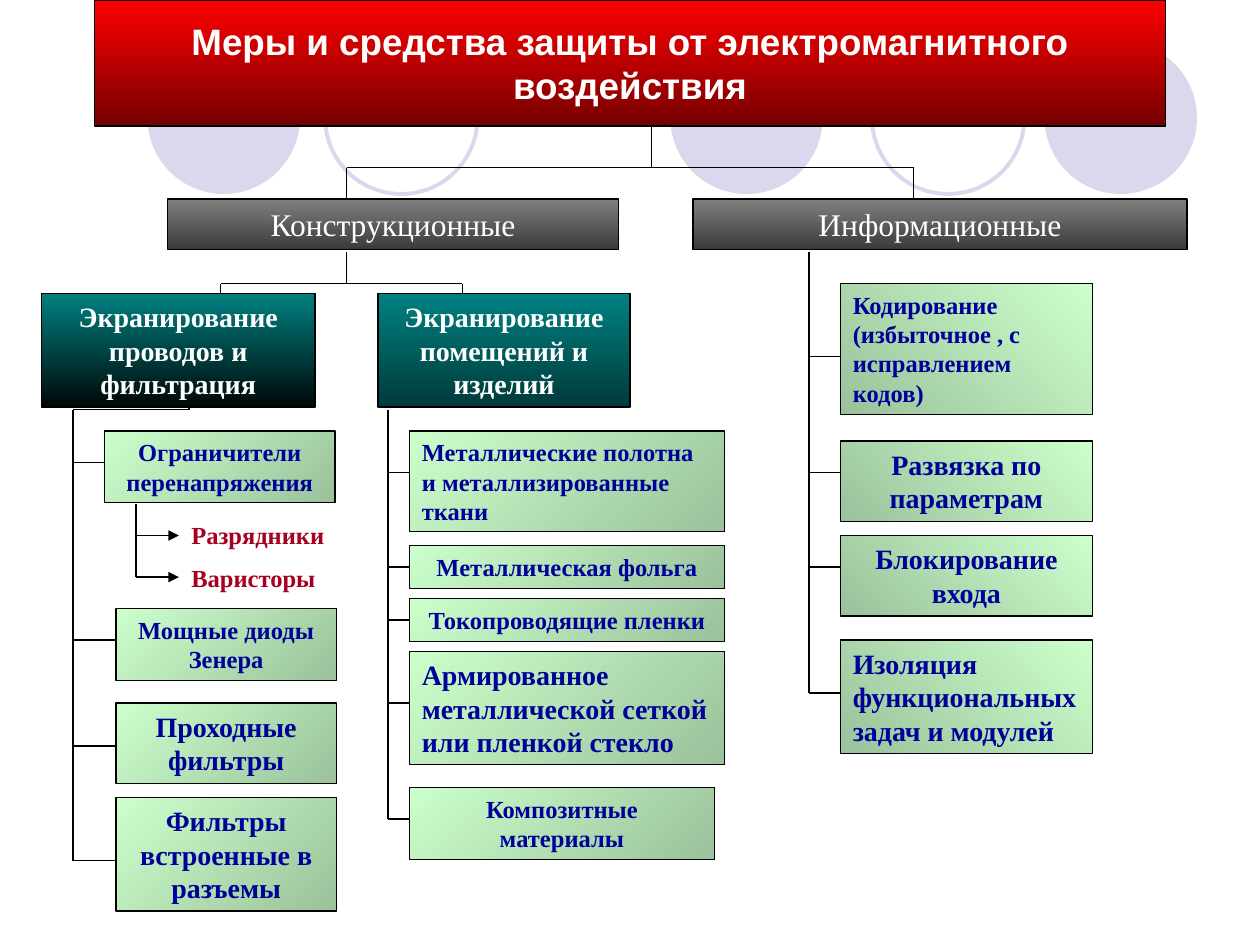
import pptx
import pptx.util
import pptx.dml.color
import pptx.enum.shapes
import pptx.enum.text
import lxml.etree

Inches, Pt = pptx.util.Inches, pptx.util.Pt
RGB = pptx.dml.color.RGBColor.from_string
SHAPE = pptx.enum.shapes.MSO_SHAPE
ALIGN = pptx.enum.text.PP_ALIGN
ANCHOR = pptx.enum.text.MSO_ANCHOR
A = "http://schemas.openxmlformats.org/drawingml/2006/main"
SERIF = "Times New Roman"

COLORS = {
    "line": "000000", "white": "FFFFFF", "circle": "D9D8EC",
    "red": "FF0000", "dark_red": "760000",
    "gray": "808080", "dark_gray": "3B3B3B",
    "teal": "008080", "teal_black": "000808", "dark_teal": "003B3B",
    "mint": "CCFFCC", "sage": "9BC29B", "navy": "000099", "crimson": "A50021",
}
# Start colour, end colour, clockwise angle
RED = ("red", "dark_red", 90)
GRAY = ("gray", "dark_gray", 90)
TEAL_BLACK = ("teal", "teal_black", 90)
TEAL = ("teal", "dark_teal", 90)
MINT = ("mint", "sage", 45)
SAGE = ("sage", "mint", 315)


def add_line(s, x1, y1, x2, y2, arrow=False):
    ln = s.shapes.add_connector(pptx.enum.shapes.MSO_CONNECTOR.STRAIGHT,
                                Inches(x1), Inches(y1), Inches(x2), Inches(y2))
    ln.line.color.rgb = RGB(COLORS["line"])
    ln.line.width = Pt(0.75)
    if arrow:
        lxml.etree.SubElement(ln.line._get_or_add_ln(), f"{{{A}}}tailEnd", type="triangle")
    lxml.etree.SubElement(ln._element.spPr, f"{{{A}}}effectLst")


def set_text(sp, text, size, color, bold=True, font=SERIF, left=False, anchor=ANCHOR.TOP):
    tf = sp.text_frame
    tf.word_wrap = True
    tf.vertical_anchor = anchor
    tf.text = text
    p = tf.paragraphs[0]
    p.alignment = ALIGN.LEFT if left else ALIGN.CENTER
    f = p.runs[0].font
    f.name, f.size, f.bold = font, Pt(size), bold
    f.color.rgb = RGB(COLORS[color])


def add_box(s, x, y, w, h, gradient, text, size, color="white", **style):
    sp = s.shapes.add_shape(SHAPE.RECTANGLE, Inches(x), Inches(y), Inches(w), Inches(h))
    sp.shadow.inherit = False
    start, end, angle = gradient
    sp.fill.gradient()
    sp.fill.gradient_angle = (360 - angle) % 360
    for stop, name in zip(sp.fill.gradient_stops, (start, end)):
        stop.color.rgb = RGB(COLORS[name])
    sp.line.color.rgb = RGB(COLORS["line"])
    sp.line.width = Pt(0.75)
    set_text(sp, text, size, color, **style)


def add_circles(s, y, d):
    """Draw the row of background circles, filled or outlined."""
    for x, filled in ((1.17, True), (2.58, False), (5.32, True), (6.92, False), (8.29, True)):
        sp = s.shapes.add_shape(SHAPE.OVAL, Inches(x), Inches(y), Inches(d), Inches(d))
        sp.shadow.inherit = False
        if filled:
            sp.fill.solid()
            sp.fill.fore_color.rgb = RGB(COLORS["circle"])
            sp.line.fill.background()
        else:
            sp.fill.background()
            sp.line.color.rgb = RGB(COLORS["circle"])
            sp.line.width = Pt(2.25)


def add_fork(s, x, top, bar, bottom, ends):
    """Join a parent at (x, top) to children at each of ends."""
    add_line(s, x, top, x, bar)
    add_line(s, ends[0], bar, ends[-1], bar)
    for end in ends:
        add_line(s, end, bar, end, bottom)


def add_branch(s, x, y, gradient, items):
    """Hang boxes on a trunk from (x, y); offsets in items are relative to it."""
    add_line(s, x, y, x, y + items[-1][0])
    for tick, dx, dy, w, h, size, left, text in items:
        add_line(s, x, y + tick, x + dx, y + tick)
        add_box(s, x + dx, y + dy, w, h, gradient, text, size, "navy", left=left)


def add_limiter_types(s, x, y):
    add_line(s, x, y, x, y + 0.58)
    for dy, text_dy, text in ((0.25, 0.08, "Разрядники"), (0.58, 0.42, "Варисторы")):
        add_line(s, x, y + dy, x + 0.34, y + dy, arrow=True)
        tb = s.shapes.add_textbox(Inches(x + 0.34), Inches(y + text_dy), Inches(1.58), Inches(0.34))
        set_text(tb, text, 14, "crimson", left=True)


# Tick offset, box dx, dy, width, height, text size, left aligned, text
WIRES = [
    (0.42, 0.25, 0.17, 1.83, 0.57, 14, False, "Ограничители перенапряжения"),
    (1.83, 0.34, 1.58, 1.75, 0.57, 14, False, "Мощные диоды Зенера"),
    (2.67, 0.34, 2.33, 1.75, 0.64, 16, False, "Проходные фильтры"),
    (3.58, 0.34, 3.08, 1.75, 0.9, 16, False, "Фильтры встроенные в разъемы"),
]
ROOMS = [
    (0.5, 0.17, 0.17, 2.5, 0.8, 14, True, "Металлические полотна и металлизированные ткани"),
    (1.25, 0.17, 1.08, 2.5, 0.34, 14, False, "Металлическая фольга"),
    (1.67, 0.17, 1.5, 2.5, 0.34, 14, False, "Токопроводящие пленки"),
    (2.33, 0.17, 1.92, 2.5, 0.9, 16, True, "Армированное металлической сеткой или пленкой стекло"),
    (3.25, 0.17, 3, 2.42, 0.57, 14, False, "Композитные материалы"),
]
INFORMATION = [
    (0.83, 0.25, 0.25, 2, 1.04, 14, True, "Кодирование (избыточное , с исправлением кодов)"),
    (1.75, 0.25, 1.5, 2, 0.64, 16, False, "Развязка по параметрам"),
    (2.5, 0.25, 2.25, 2, 0.64, 16, False, "Блокирование входа"),
    (3.5, 0.25, 3.08, 2, 0.9, 16, True, "Изоляция функциональных задач и модулей"),
]


def main():
    prs = pptx.Presentation()
    prs.slide_width, prs.slide_height = Inches(10), Inches(7.5)
    s = prs.slides.add_slide(prs.slide_layouts[6])

    add_circles(s, 0.33, 1.21)
    add_fork(s, 5.17, 1, 1.33, 1.58, (2.75, 7.25))
    add_fork(s, 2.75, 2, 2.25, 2.42, (1.75, 3.67))
    add_line(s, 1.5, 3.08, 1.5, 3.25)
    add_line(s, 1.5, 3.25, 0.58, 3.25)

    add_box(s, 0.75, 0, 8.5, 1, RED, "Меры и средства защиты от электромагнитного воздействия",
            21, font="Arial", anchor=ANCHOR.MIDDLE)
    add_box(s, 1.33, 1.58, 3.58, 0.4, GRAY, "Конструкционные", 18, bold=False)
    add_box(s, 5.5, 1.58, 3.92, 0.4, GRAY, "Информационные", 18, bold=False)
    add_box(s, 0.33, 2.33, 2.17, 0.9, TEAL_BLACK, "Экранирование проводов и фильтрация", 16)
    add_box(s, 3, 2.33, 2, 0.9, TEAL, "Экранирование помещений и изделий", 16)

    add_branch(s, 0.58, 3.25, MINT, WIRES)
    add_limiter_types(s, 1.08, 4)
    add_branch(s, 3.08, 3.25, MINT, ROOMS)
    add_branch(s, 6.42, 2, SAGE, INFORMATION)
    prs.save("out.pptx")


if __name__ == "__main__":
    main()
